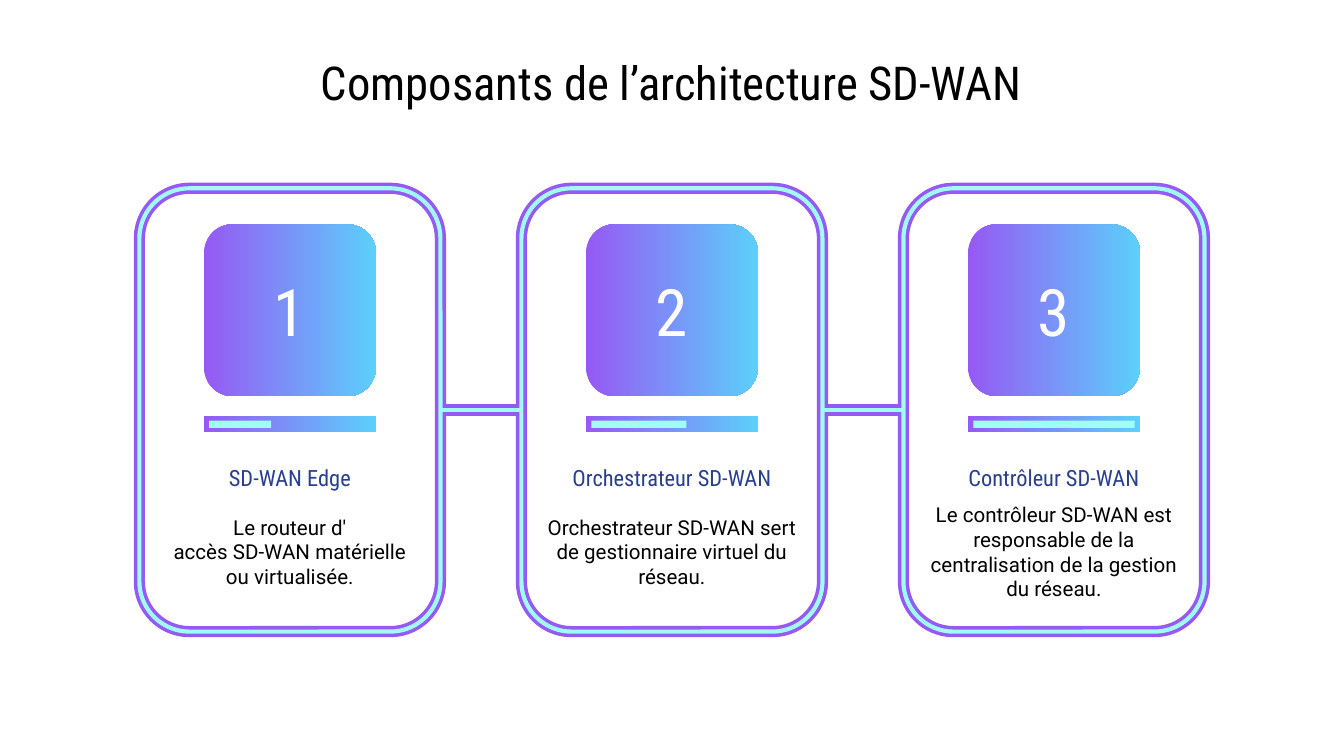
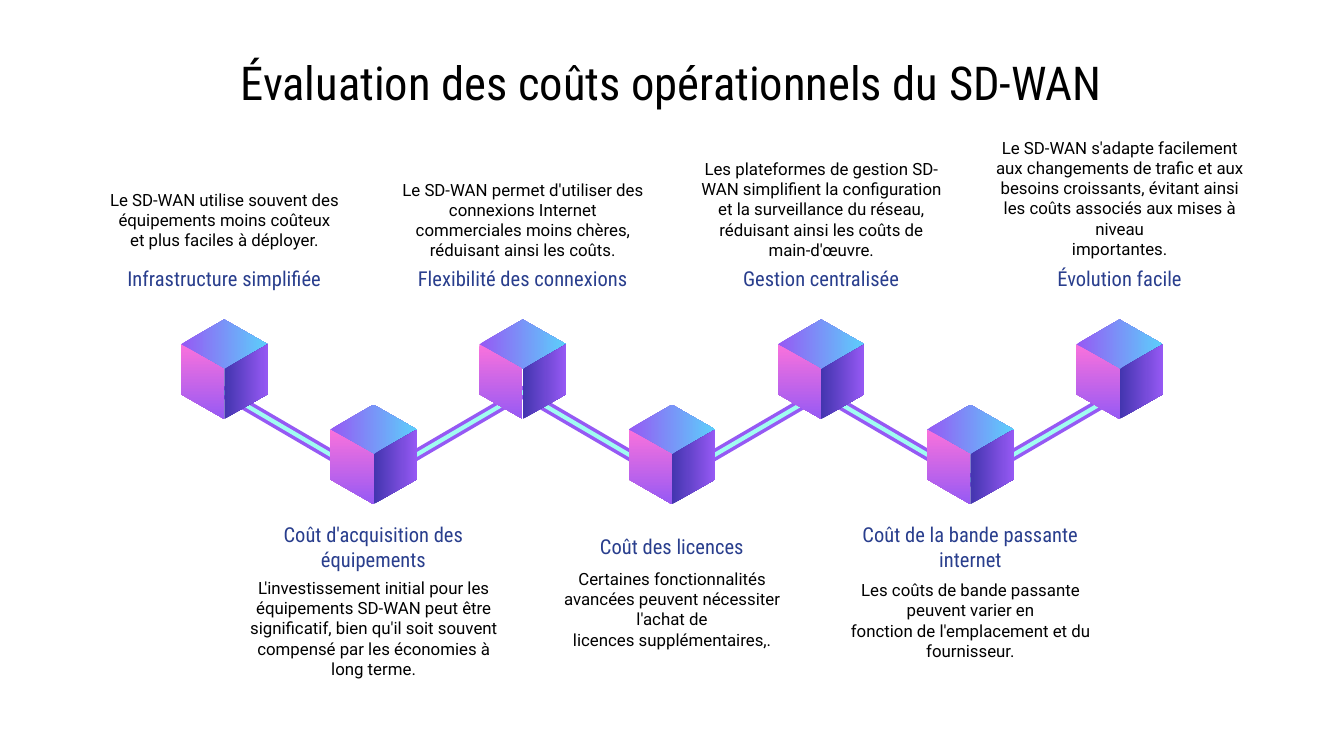
from lxml.etree import SubElement
from pptx import Presentation
from pptx.dml.color import RGBColor
from pptx.enum.shapes import MSO_CONNECTOR, MSO_SHAPE
from pptx.enum.text import MSO_ANCHOR, MSO_AUTO_SIZE, PP_ALIGN
from pptx.oxml.ns import qn
from pptx.util import Cm, Pt

BLACK = RGBColor(0x00, 0x00, 0x00)
WHITE = RGBColor(0xFF, 0xFF, 0xFF)
NAVY = RGBColor(0x29, 0x3E, 0x8D)
VIOLET = RGBColor(0x96, 0x59, 0xF4)
SKY = RGBColor(0x5C, 0xCF, 0xFB)
MINT = RGBColor(0xA0, 0xFD, 0xF1)
PINK = RGBColor(0xFA, 0x72, 0xDC)
INDIGO = RGBColor(0x43, 0x35, 0xAF)

HEADING_FONT = "Roboto Condensed"
BODY_FONT = "Roboto"
OUTER_STROKE = (VIOLET, 6)
INNER_STROKE = (MINT, 2.25)
SLIDE_CENTER = 12.7
TEXT_WIDTH = 5.21
INSET = 0.25

CARD_PITCH, CARD_TOP, CARD_WIDTH, CARD_HEIGHT = 7.22, 3.56, 5.69, 8.38
TILE_SIZE = 3.25
CARDS = [
    ("SD-WAN Edge", "Le routeur d'\naccès SD-WAN matérielle\nou virtualisée.", 1.17),
    ("Orchestrateur SD-WAN",
     "Orchestrateur SD-WAN sert de gestionnaire virtuel du réseau.", 1.8),
    ("Contrôleur SD-WAN",
     "Le contrôleur SD-WAN est responsable de la\n"
     "centralisation de la gestion du réseau.", 3.05),
]

CUBE_PITCH, CUBE_HALF_WIDTH, CUBE_STEP = 2.82, 0.82, 0.47
UPPER_CUBE_TOP, LOWER_CUBE_TOP = 6.04, 7.65
COSTS = [
    ("Infrastructure simplifiée",
     "Le SD-WAN utilise souvent des équipements moins coûteux\n"
     "et plus faciles à déployer.", 3.38),
    ("Coût d'acquisition des équipements",
     "L'investissement initial pour les équipements SD-WAN peut être significatif, "
     "bien qu'il soit souvent compensé par les économies à long terme.", 11.1),
    ("Flexibilité des connexions",
     "Le SD-WAN permet d'utiliser des connexions Internet\n"
     "commerciales moins chères, réduisant ainsi les coûts.", 3.38),
    ("Coût des licences",
     "Certaines fonctionnalités avancées peuvent nécessiter l'achat de\n"
     "licences supplémentaires,.", 10.74),
    ("Gestion centralisée",
     "Les plateformes de gestion SD-WAN simplifient la configuration et la "
     "surveillance du réseau, réduisant ainsi les coûts de main-d'œuvre.", 3.18),
    ("Coût de la bande passante internet",
     "Les coûts de bande passante peuvent varier en\n"
     "fonction de l'emplacement et du fournisseur.", 10.95),
    ("Évolution facile",
     "Le SD-WAN s'adapte facilement aux changements de trafic et aux besoins "
     "croissants, évitant ainsi les coûts associés aux mises à niveau\n"
     "importantes.", 2.97),
]


def write_text(shape, text, font_name, size, color, inset=INSET):
    """Fill a shape with centred text in one font."""
    frame = shape.text_frame
    frame.text = text
    frame.word_wrap = True
    frame.auto_size = MSO_AUTO_SIZE.NONE
    frame.vertical_anchor = MSO_ANCHOR.MIDDLE
    frame.margin_left = frame.margin_right = Cm(inset)
    frame.margin_top = frame.margin_bottom = Cm(inset)
    for paragraph in frame.paragraphs:
        paragraph.alignment = PP_ALIGN.CENTER
        paragraph.font.name = font_name
        paragraph.font.size = Pt(size)
        paragraph.font.color.rgb = color


def add_titled_slide(presentation, title):
    """Add a title-only slide with the shared title style."""
    slide = presentation.slides.add_slide(presentation.slide_layouts[5])
    shape = slide.shapes.title
    shape.left, shape.top, shape.width, shape.height = Cm(1.42), Cm(0.84), Cm(22.53), Cm(1.42)
    write_text(shape, title, HEADING_FONT, 25, BLACK)
    return slide


def add_label(slide, center, top, height, text, font_name, size, color):
    """Add a text box centred on a horizontal position."""
    box = slide.shapes.add_textbox(
        Cm(center - TEXT_WIDTH / 2), Cm(top), Cm(TEXT_WIDTH), Cm(height))
    write_text(box, text, font_name, size, color)


def apply_gradient(shape, start, end, angle=0):
    """Give a shape a two-colour gradient without outline or shadow."""
    shape.shadow.inherit = False
    shape.line.fill.background()
    shape.fill.gradient()
    shape.fill.gradient_angle = angle
    for stop, color in zip(shape.fill.gradient_stops, (start, end)):
        stop.color.rgb = color


def apply_stroke(line, stroke):
    """Set the colour and width of a line."""
    color, width = stroke
    line.color.rgb = color
    line.width = Pt(width)


def add_block(slide, kind, left, top, width, height):
    """Add a preset shape without shadow."""
    shape = slide.shapes.add_shape(kind, Cm(left), Cm(top), Cm(width), Cm(height))
    shape.shadow.inherit = False
    return shape


def add_link(slide, start, end, stroke):
    """Add a straight connector between two points."""
    connector = slide.shapes.add_connector(
        MSO_CONNECTOR.STRAIGHT, *(Cm(value) for value in (*start, *end)))
    apply_stroke(connector.line, stroke)
    SubElement(connector._element.spPr, qn("a:effectLst"))


def add_card_links(slide, centers, stroke):
    """Join neighbouring cards at mid height."""
    middle = CARD_TOP + CARD_HEIGHT / 2
    for left, right in zip(centers, centers[1:]):
        add_link(slide, (left + CARD_WIDTH / 2, middle),
                 (right - CARD_WIDTH / 2, middle), stroke)


def add_card_frame(slide, center):
    """Add the double rounded outline of a card."""
    for stroke in (OUTER_STROKE, INNER_STROKE):
        frame = add_block(slide, MSO_SHAPE.ROUNDED_RECTANGLE, center - CARD_WIDTH / 2,
                          CARD_TOP, CARD_WIDTH, CARD_HEIGHT)
        frame.fill.background()
        apply_stroke(frame.line, stroke)


def add_card_content(slide, center, number, heading, body, progress):
    """Add the numbered tile, progress bar and texts of a card."""
    left = center - TILE_SIZE / 2
    tile = add_block(slide, MSO_SHAPE.ROUNDED_RECTANGLE, left, 4.24, TILE_SIZE, TILE_SIZE)
    apply_gradient(tile, VIOLET, SKY)
    write_text(tile, str(number), HEADING_FONT, 35, WHITE, inset=0)
    bar = add_block(slide, MSO_SHAPE.RECTANGLE, left, 7.87, TILE_SIZE, 0.3)
    apply_gradient(bar, VIOLET, SKY)
    level = add_block(slide, MSO_SHAPE.RECTANGLE, left + 0.1, 7.95, progress, 0.14)
    level.fill.solid()
    level.fill.fore_color.rgb = MINT
    level.line.fill.background()
    add_label(slide, center, 8.59, 0.86, heading, HEADING_FONT, 12, NAVY)
    add_label(slide, center, 9.45, 1.96, body, BODY_FONT, 11, BLACK)


def add_face(slide, points, start, end, angle=0):
    """Add one gradient face of a cube."""
    first, *others = [(Cm(x), Cm(y)) for x, y in points]
    builder = slide.shapes.build_freeform(*first)
    builder.add_line_segments(others, close=True)
    apply_gradient(builder.convert_to_shape(), start, end, angle)


def add_cube(slide, center, top):
    """Add an isometric cube made of three faces."""
    left, right = center - CUBE_HALF_WIDTH, center + CUBE_HALF_WIDTH
    upper, middle, lower, bottom = (top + CUBE_STEP * step for step in range(1, 5))
    add_face(slide, [(center, middle), (left, upper), (center, top), (right, upper)],
             VIOLET, SKY)
    add_face(slide, [(left, upper), (left, lower), (center, bottom), (center, middle)],
             PINK, VIOLET, 270)
    add_face(slide, [(right, upper), (center, middle), (center, bottom), (right, lower)],
             INDIGO, VIOLET)


def add_cube_link(slide, upper_center, lower_center):
    """Add the double line from an upper cube to a lower one."""
    direction = 1 if lower_center > upper_center else -1
    start = (upper_center - 0.57 * direction, 7.09)
    end = (lower_center + 0.12 * direction, 9.14)
    for stroke in (OUTER_STROKE, INNER_STROKE):
        add_link(slide, start, end, stroke)


def build_components_slide(presentation):
    """Build the slide with the three component cards."""
    slide = add_titled_slide(presentation, "Composants de l’architecture SD-WAN")
    centers = [SLIDE_CENTER + (index - 1) * CARD_PITCH for index in range(len(CARDS))]
    add_card_links(slide, centers, OUTER_STROKE)
    for center in centers:
        add_card_frame(slide, center)
    add_card_links(slide, centers, INNER_STROKE)
    for number, (center, card) in enumerate(zip(centers, CARDS), start=1):
        add_card_content(slide, center, number, *card)


def build_costs_slide(presentation):
    """Build the slide with the zigzag of cost cubes."""
    slide = add_titled_slide(presentation, "Évaluation des coûts opérationnels du SD-WAN")
    centers = [SLIDE_CENTER + (index - 3) * CUBE_PITCH for index in range(len(COSTS))]
    for index in range(1, len(centers), 2):
        for neighbour in (index - 1, index + 1):
            add_cube_link(slide, centers[neighbour], centers[index])
    for index, (center, (heading, body, body_top)) in enumerate(zip(centers, COSTS)):
        is_upper = index % 2 == 0
        add_cube(slide, center, UPPER_CUBE_TOP if is_upper else LOWER_CUBE_TOP)
        add_label(slide, center, 4.9 if is_upper else 9.98, 0.71,
                  heading, HEADING_FONT, 11, NAVY)
        add_label(slide, center, body_top, 1.55, body, BODY_FONT, 9, BLACK)


def main():
    """Build and save the presentation."""
    presentation = Presentation()
    presentation.slide_width = Cm(25.4)
    presentation.slide_height = Cm(14.29)
    build_components_slide(presentation)
    build_costs_slide(presentation)
    presentation.save("out.pptx")


if __name__ == "__main__":
    main()
